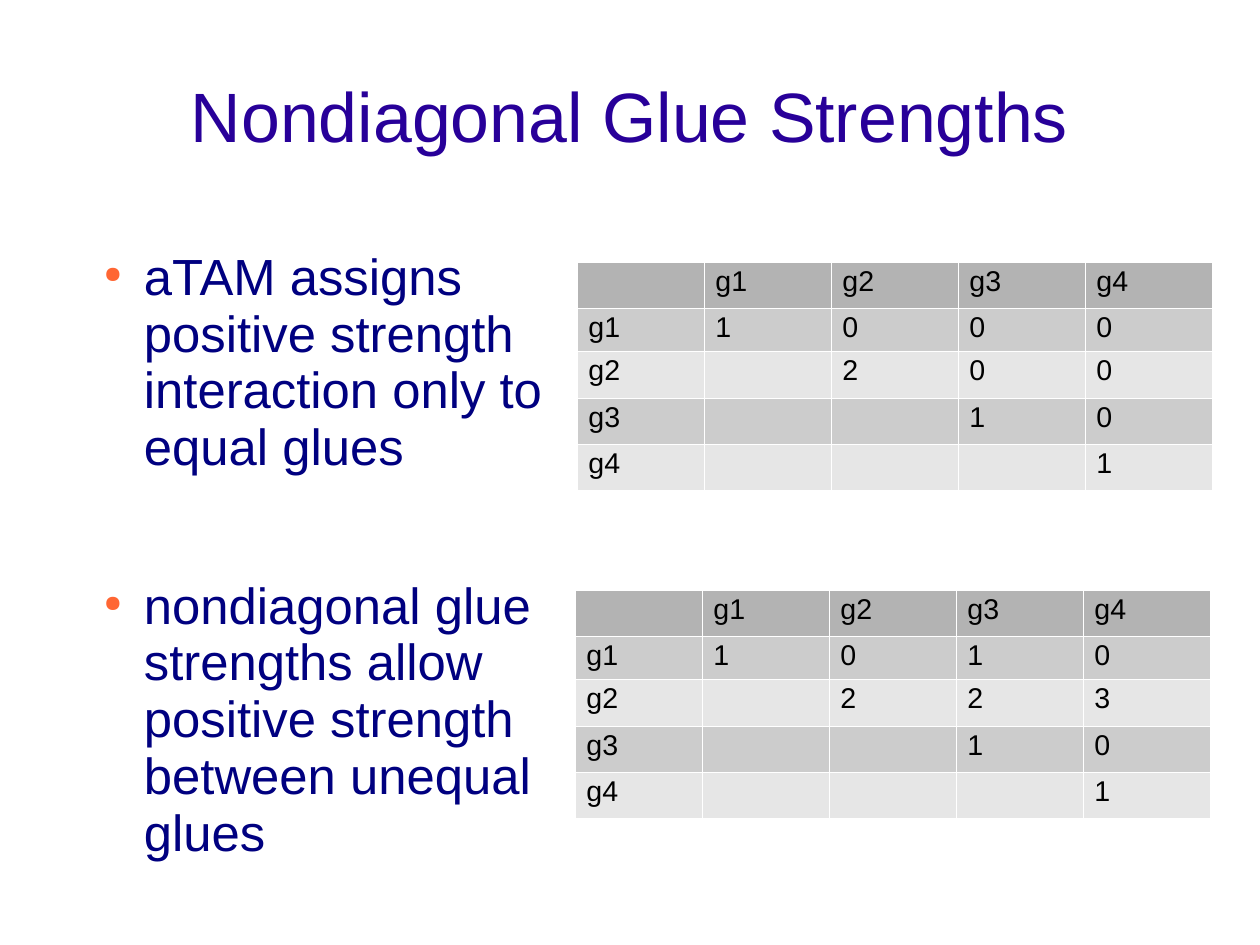
from lxml import etree
from pptx import Presentation
from pptx.dml.color import RGBColor
from pptx.enum.text import MSO_ANCHOR, MSO_AUTO_SIZE, PP_ALIGN
from pptx.oxml.ns import qn
from pptx.util import Pt

TITLE = "Nondiagonal Glue Strengths"
BULLETS = [
    "aTAM assigns positive strength interaction only to equal glues",
    "nondiagonal glue strengths allow positive strength between unequal glues",
]
GLUES = ["g1", "g2", "g3", "g4"]
# Left, top and the upper triangle of each symmetric strength matrix
MATRICES = [
    (577, 262, [[1, 0, 0, 0], [2, 0, 0], [1, 0], [1]]),
    (575, 590, [[1, 0, 1, 0], [2, 2, 3], [1, 0], [1]]),
]

PX = 8000
SLIDE_SIZE = (1260, 945)
TITLE_BOX = (63, 38, 1134, 158)
BULLET_BOX = (90, 247, 541, 624)
COL_WIDTH = 127
ROW_HEIGHTS = [46, 43, 46, 46, 45]
BORDER_WIDTH = 720
LINE_SPACING = 0.93

VIOLET = RGBColor(0x28, 0x00, 0x99)
NAVY = RGBColor(0x00, 0x00, 0x80)
ORANGE = RGBColor(0xFF, 0x66, 0x33)
BLACK = RGBColor(0x00, 0x00, 0x00)
WHITE = RGBColor(0xFF, 0xFF, 0xFF)
HEADER_GRAY = RGBColor(0xB3, 0xB3, 0xB3)
BAND_GRAYS = [RGBColor(0xCC, 0xCC, 0xCC), RGBColor(0xE6, 0xE6, 0xE6)]


def place(sp, box):
    for name, value in zip(("left", "top", "width", "height"), box):
        setattr(sp, name, value * PX)


def write(p, text, size, color):
    p.line_spacing = LINE_SPACING
    r = p.add_run()
    r.text = text
    for name, value in {"name": "Arial", "size": Pt(size), "bold": False}.items():
        setattr(r.font, name, value)
    r.font.color.rgb = color


def format_frame(tf, top_inset, anchor):
    values = {"margin_left": 0, "margin_top": top_inset * PX, "margin_right": 0,
              "margin_bottom": 0, "word_wrap": True, "vertical_anchor": anchor,
              "auto_size": MSO_AUTO_SIZE.NONE}
    for name, value in values.items():
        setattr(tf, name, value)


def add_color(parent, color):
    etree.SubElement(parent, qn("a:srgbClr"), val=str(color))


def add_bullet(p):
    pPr = p._p.get_or_add_pPr()
    pPr.set("marL", str(54 * PX))
    pPr.set("indent", str(-40 * PX))
    add_color(etree.SubElement(pPr, qn("a:buClr")), ORANGE)
    etree.SubElement(pPr, qn("a:buSzPct"), val="45000")
    etree.SubElement(pPr, qn("a:buChar"), char="●")


def format_cell(cell, fill):
    tcPr = cell._tc.get_or_add_tcPr()
    for side in ("lnL", "lnR", "lnT", "lnB"):
        ln = etree.SubElement(tcPr, qn(f"a:{side}"), w=str(BORDER_WIDTH))
        add_color(etree.SubElement(ln, qn("a:solidFill")), WHITE)
    cell.fill.solid()
    cell.fill.fore_color.rgb = fill


def add_matrix(slide, left, top, triangle):
    """Add a strength table whose cells below the diagonal stay empty."""
    rows = [[""] + GLUES]
    for i, (glue, strengths) in enumerate(zip(GLUES, triangle)):
        rows.append([glue] + [""] * i + [str(s) for s in strengths])
    n = len(rows)
    box = (left, top, n * COL_WIDTH, sum(ROW_HEIGHTS))
    table = slide.shapes.add_table(n, n, *(v * PX for v in box)).table
    table.first_row = table.horz_banding = False
    for col in table.columns:
        col.width = COL_WIDTH * PX
    for i, texts in enumerate(rows):
        table.rows[i].height = ROW_HEIGHTS[i] * PX
        fill = BAND_GRAYS[(i - 1) % 2] if i else HEADER_GRAY
        for j, text in enumerate(texts):
            cell = table.cell(i, j)
            format_cell(cell, fill)
            if text:
                write(cell.text_frame.paragraphs[0], text, 18, BLACK)


def main():
    prs = Presentation()
    prs.slide_width, prs.slide_height = (v * PX for v in SLIDE_SIZE)
    slide = prs.slides.add_slide(prs.slide_layouts[5])

    title = slide.shapes.title
    place(title, TITLE_BOX)
    format_frame(title.text_frame, 5, MSO_ANCHOR.MIDDLE)
    p = title.text_frame.paragraphs[0]
    p.alignment = PP_ALIGN.CENTER
    write(p, TITLE, 44, VIOLET)

    tf = slide.shapes.add_textbox(*(v * PX for v in BULLET_BOX)).text_frame
    format_frame(tf, 3, MSO_ANCHOR.TOP)
    for i, text in enumerate(BULLETS):
        p = tf.add_paragraph() if i else tf.paragraphs[0]
        add_bullet(p)
        if i:
            p.space_before = Pt(64.3)
        write(p, text, 32, NAVY)

    for left, top, triangle in MATRICES:
        add_matrix(slide, left, top, triangle)
    prs.save("out.pptx")


if __name__ == "__main__":
    main()
